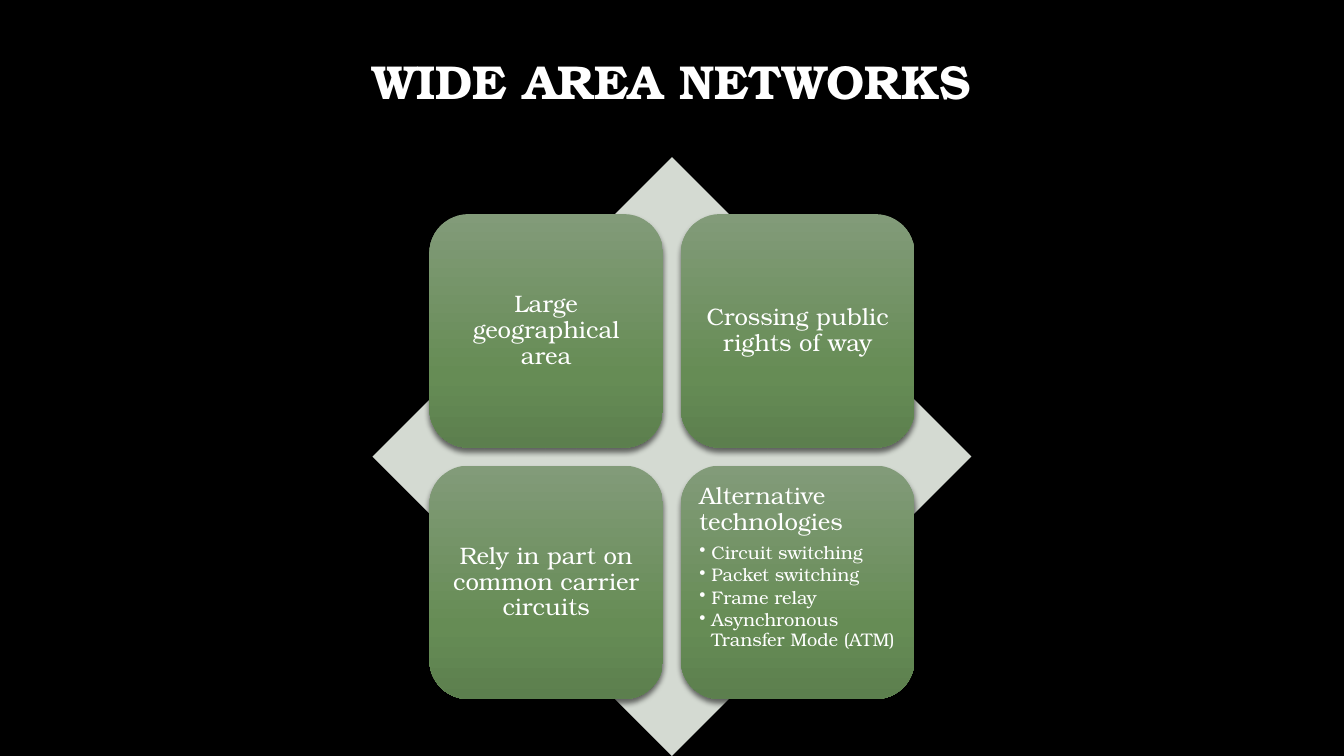
"""Build the Wide Area Networks slide: four tiles over a diamond."""
from dataclasses import dataclass

from lxml.etree import SubElement
from pptx import Presentation
from pptx.dml.color import RGBColor
from pptx.enum.shapes import MSO_SHAPE
from pptx.enum.text import MSO_ANCHOR, PP_ALIGN
from pptx.oxml.ns import qn
from pptx.util import Inches, Pt

TITLE = "WIDE AREA NETWORKS"
TILES = [
    ("Large geographical area", []),
    ("Crossing public rights of way", []),
    ("Rely in part on common carrier circuits", []),
    ("Alternative technologies", [
        "Circuit switching",
        "Packet switching",
        "Frame relay",
        "Asynchronous Transfer Mode (ATM)",
    ]),
]


@dataclass(frozen=True)
class Theme:
    font: str = "TeX Gyre Bonum"
    background: str = "000000"
    text: str = "FFFFFF"
    diamond: str = "D4DAD2"
    gradient: tuple = ((0, "829B79"), (69, "668C55"), (100, "5C7F4E"))
    shadow: str = "000000"
    title_size: int = 34
    tile_size: int = 17
    bullet_size: int = 13


THEME = Theme()
WIDTH, HEIGHT = 13.33, 7.5
SIDE = 5.94
LEFT, TOP = (WIDTH - SIDE) / 2, HEIGHT - SIDE
MARGIN, TILE, PITCH = 0.095 * SIDE, 0.39 * SIDE, 0.42 * SIDE
INSET = 0.07
INDENT = 0.12


def add_color(parent, color, alpha=100):
    clr = SubElement(parent, qn("a:srgbClr"), val=color)
    if alpha < 100:
        SubElement(clr, qn("a:alpha"), val=str(alpha * 1000))


def add_shape(slide, kind, x, y, size):
    sp = slide.shapes.add_shape(kind, Inches(x), Inches(y), Inches(size), Inches(size))
    sp.line.fill.background()
    sp.shadow.inherit = False
    return sp


def fill_gradient(sp):
    sp.fill.gradient()
    sp.fill.gradient_angle = 270
    stops = next(sp.element.spPr.iter(qn("a:gsLst")))
    for stop in list(stops):
        stops.remove(stop)
    for position, color in THEME.gradient:
        add_color(SubElement(stops, qn("a:gs"), pos=str(position * 1000)), color)


def add_shadow(sp):
    effects = sp.element.spPr.find(qn("a:effectLst"))
    shadow = SubElement(effects, qn("a:outerShdw"), blurRad=str(Pt(4)), dist=str(Pt(3)),
                        dir="5400000", algn="ctr", rotWithShape="0")
    add_color(shadow, THEME.shadow, 54)


def write(p, text, size, align, after=0, bold=False):
    p.alignment = align
    p.line_spacing = 0.9
    p.space_before = Pt(0)
    p.space_after = Pt(after * size)
    r = p.add_run()
    r.text = text
    r.font.name = THEME.font
    r.font.size = Pt(size)
    r.font.bold = bold
    r.font.color.rgb = RGBColor.from_string(THEME.text)


def add_bullet(p):
    pPr = p._p.get_or_add_pPr()
    pPr.set("marL", str(Inches(INDENT)))
    pPr.set("indent", str(-Inches(INDENT)))
    SubElement(pPr, qn("a:buChar"), char="•")


def add_tile(slide, index, heading, bullets):
    row, col = divmod(index, 2)
    sp = add_shape(slide, MSO_SHAPE.ROUNDED_RECTANGLE,
                   LEFT + MARGIN + col * PITCH, TOP + MARGIN + row * PITCH, TILE)
    fill_gradient(sp)
    add_shadow(sp)
    tf = sp.text_frame
    tf.word_wrap = True
    tf.margin_left = tf.margin_right = tf.margin_top = tf.margin_bottom = Inches(INSET)
    tf.vertical_anchor = MSO_ANCHOR.TOP if bullets else MSO_ANCHOR.MIDDLE
    align = PP_ALIGN.LEFT if bullets else PP_ALIGN.CENTER
    write(tf.paragraphs[0], heading, THEME.tile_size, align, 0.35)
    for bullet in bullets:
        p = tf.add_paragraph()
        p.level = 1
        write(p, bullet, THEME.bullet_size, align, 0.15)
        add_bullet(p)


def main():
    prs = Presentation()
    prs.slide_width, prs.slide_height = Inches(WIDTH), Inches(HEIGHT)
    s = prs.slides.add_slide(prs.slide_layouts[5])
    s.background.fill.solid()
    s.background.fill.fore_color.rgb = RGBColor.from_string(THEME.background)

    title = s.shapes.title
    title.left, title.top = Inches(1), Inches(0.11)
    title.width, title.height = Inches(11.32), Inches(1.45)
    title.text_frame.vertical_anchor = MSO_ANCHOR.MIDDLE
    write(title.text_frame.paragraphs[0], TITLE, THEME.title_size, PP_ALIGN.CENTER, bold=True)

    diamond = add_shape(s, MSO_SHAPE.DIAMOND, LEFT, TOP, SIDE)
    diamond.fill.solid()
    diamond.fill.fore_color.rgb = RGBColor.from_string(THEME.diamond)
    add_shadow(diamond)

    for index, (heading, bullets) in enumerate(TILES):
        add_tile(s, index, heading, bullets)
    prs.save("out.pptx")


if __name__ == "__main__":
    main()
